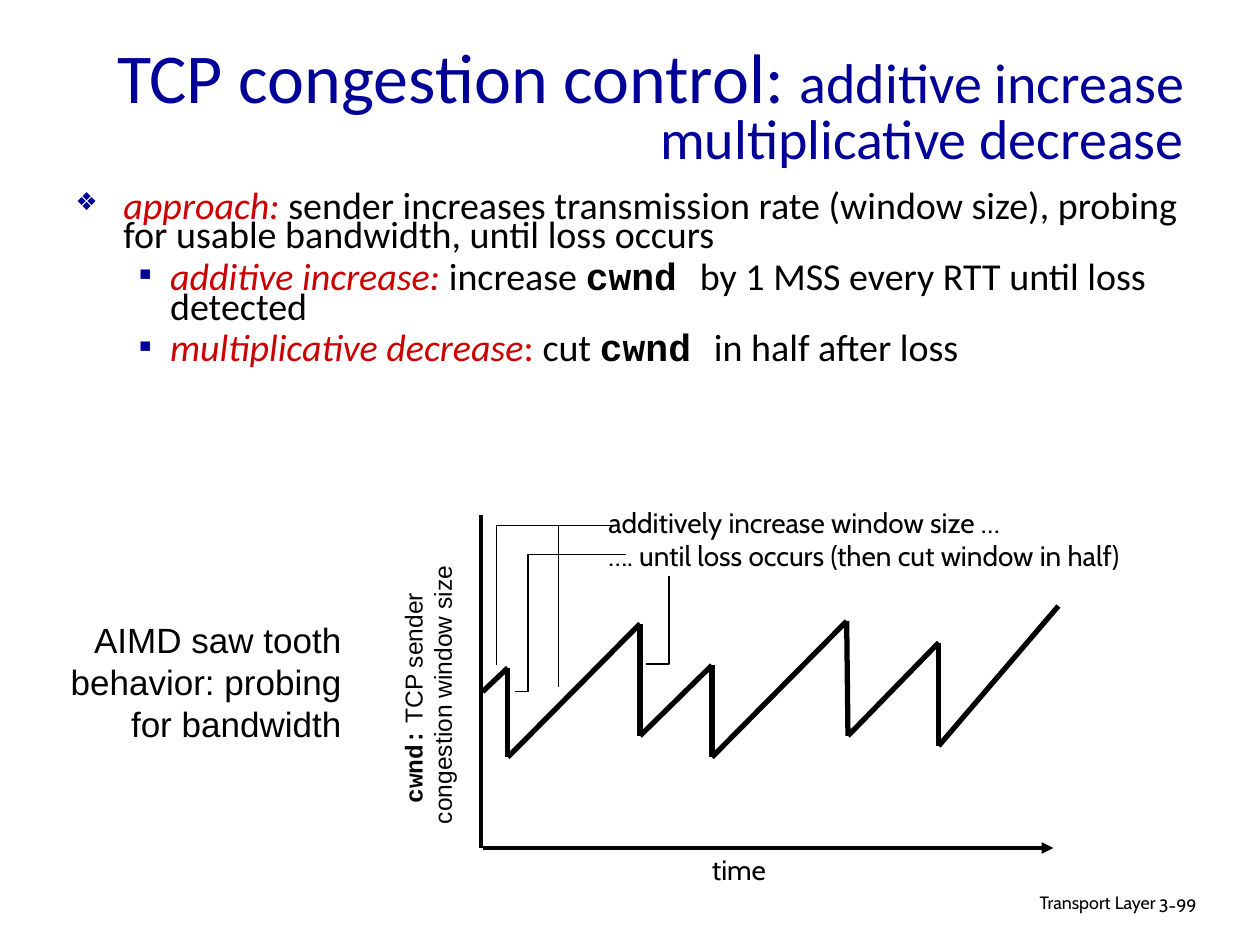
from lxml import etree
from pptx import Presentation
from pptx.dml.color import RGBColor
from pptx.enum.shapes import MSO_CONNECTOR, MSO_SHAPE
from pptx.enum.text import MSO_ANCHOR, MSO_AUTO_SIZE, PP_ALIGN
from pptx.oxml.ns import qn
from pptx.util import Inches, Pt

COLORS = {"text": "000000", "title": "000099", "accent": "CC0000", "back": "FFFFFF"}
BODY, MONO, LABEL, PLAIN = "Calibri", "Courier New", "Cabin", "Arial"


class SlideBuilder:
    """Holds the style and the current slide, with a method per kind of element."""

    def __init__(self, prs):
        self.slide = prs.slides.add_slide(prs.slide_layouts[1])
        self.shapes = self.slide.shapes

    def color(self, name):
        return RGBColor.from_string(COLORS[name])

    def place(self, sp, left, top, width, height):
        sp.left, sp.top = Inches(left), Inches(top)
        sp.width, sp.height = Inches(width), Inches(height)

    def run(self, p, text, size, font, color="text", bold=False, italic=False):
        r = p.add_run()
        r.text = text
        r.font.size, r.font.name = Pt(size), font
        r.font.bold, r.font.italic = bold, italic
        r.font.color.rgb = self.color(color)

    def fill_frame(self, tf, paragraphs, align, spacing=None):
        for i, runs in enumerate(paragraphs):
            p = tf.add_paragraph() if i else tf.paragraphs[0]
            p.alignment = align
            if spacing:
                p.line_spacing = spacing
            for run in runs:
                self.run(p, *run)

    def title(self, box, runs):
        sp = self.shapes.title
        self.place(sp, *box)
        tf = sp.text_frame
        tf.auto_size = MSO_AUTO_SIZE.NONE
        tf.vertical_anchor = MSO_ANCHOR.MIDDLE
        self.fill_frame(tf, [runs], PP_ALIGN.RIGHT, 0.8)

    def bullet(self, p, level):
        char, size, left, hang = (("❖", 65, 0.38, 0.38), ("▪", 100, 0.75, 0.25))[level]
        p.level = level
        pPr = p._p.get_or_add_pPr()
        pPr.set("marL", str(Inches(left)))
        pPr.set("indent", str(-Inches(hang)))
        clr = etree.SubElement(pPr, qn("a:buClr"))
        etree.SubElement(clr, qn("a:srgbClr"), val=COLORS["title"])
        etree.SubElement(pPr, qn("a:buSzPct"), val=str(size * 1000))
        etree.SubElement(pPr, qn("a:buFont"), typeface=PLAIN)
        etree.SubElement(pPr, qn("a:buChar"), char=char)

    def body(self, box, items):
        sp = self.slide.placeholders[1]
        self.place(sp, *box)
        tf = sp.text_frame
        tf.auto_size = MSO_AUTO_SIZE.NONE
        self.fill_frame(tf, [runs for _, runs in items], PP_ALIGN.LEFT, 0.65)
        for i, (p, (level, _)) in enumerate(zip(tf.paragraphs, items)):
            p.space_before = Pt(7 if i else 0)
            self.bullet(p, level)

    def text(self, box, paragraphs, align=PP_ALIGN.LEFT, wrap=False, spacing=None):
        sp = self.shapes.add_textbox(*map(Inches, box))
        sp.text_frame.word_wrap = wrap
        self.fill_frame(sp.text_frame, paragraphs, align, spacing)

    def axis_label(self, box, paragraphs):
        sp = self.shapes.add_shape(MSO_SHAPE.RECTANGLE, *map(Inches, box))
        sp.shadow.inherit = False
        sp.fill.solid()
        sp.fill.fore_color.rgb = self.color("back")
        sp.line.fill.background()
        sp.rotation = 270
        tf = sp.text_frame
        tf.word_wrap = False
        tf.vertical_anchor = MSO_ANCHOR.TOP
        self.fill_frame(tf, paragraphs, PP_ALIGN.CENTER)

    def line(self, start, end, width, arrow=False):
        cx = self.shapes.add_connector(MSO_CONNECTOR.STRAIGHT, *map(Inches, start + end))
        cx.line.width = Pt(width)
        cx.line.color.rgb = self.color("text")
        if arrow:
            etree.SubElement(cx.line._get_or_add_ln(), qn("a:tailEnd"), type="triangle")
        etree.SubElement(cx._element.spPr, qn("a:effectLst"))

    def callout(self, points):
        points = [(Inches(x), Inches(y)) for x, y in points]
        fb = self.shapes.build_freeform(*points[0])
        fb.add_line_segments(points[1:], close=False)
        sp = fb.convert_to_shape()
        sp.shadow.inherit = False
        sp.fill.background()
        sp.line.width = Pt(0.75)
        sp.line.color.rgb = self.color("text")


def main():
    prs = Presentation()
    prs.slide_width, prs.slide_height = Inches(10), Inches(7.5)
    s = SlideBuilder(prs)

    s.text((6.1, 7.05, 3.17, 0.31), [[("Transport Layer", 10.2, LABEL)]],
           PP_ALIGN.RIGHT, wrap=True, spacing=0.9)
    s.text((9.1, 7.07, 0.74, 0.3), [[("3-99", 10.2, LABEL)]], wrap=True, spacing=0.9)
    s.title((0.25, 0.25, 9.25, 1.25), [
        ("TCP congestion control: ", 40, BODY, "title"),
        ("additive increase multiplicative decrease", 32, BODY, "title"),
    ])

    size = 21.7
    cwnd = ("cwnd ", size, MONO, "text", True)
    s.body((0.5, 1.5, 9.16, 1.58), [
        (0, [("approach: ", size, BODY, "accent", False, True),
             ("sender increases transmission rate (window size), probing "
              "for usable bandwidth, until loss occurs", size, BODY)]),
        (1, [("additive increase:", size, BODY, "accent", False, True),
             (" increase ", size, BODY), cwnd,
             ("by 1 MSS every RTT until loss detected", size, BODY)]),
        (1, [("multiplicative decrease", size, BODY, "accent", False, True),
             (":", size, BODY, "accent"), (" cut ", size, BODY), cwnd,
             ("in half after loss", size, BODY)]),
    ])

    s.axis_label((2.27, 5.23, 2.25, 0.57), [
        [("cwnd:", 14, MONO, "text", True), (" TCP sender ", 14, PLAIN)],
        [("congestion window size", 14, PLAIN)],
    ])
    caption = ("AIMD saw tooth", "behavior: probing", "for bandwidth")
    s.text((0.46, 4.86, 2.35, 1.1), [[(t, 20, PLAIN)] for t in caption], PP_ALIGN.RIGHT)

    s.line((3.83, 6.73), (8.36, 6.73), 2.25, arrow=True)
    s.line((3.82, 4.09), (3.82, 6.73), 2.25)
    sawtooth = [(3.83, 5.49), (4.03, 5.3), (4.03, 6.01), (5.08, 4.95),
                (5.08, 5.84), (5.65, 5.28), (5.65, 6.01), (6.72, 4.93),
                (6.73, 5.84), (7.45, 5.1), (7.45, 5.92), (8.4, 4.81)]
    for start, end in zip(sawtooth, sawtooth[1:]):
        s.line(start, end, 3)

    notes = ("additively increase window size …",
             "…. until loss occurs (then cut window in half)")
    s.text((4.73, 3.96, 4.78, 0.64), [[(t, 16, LABEL)] for t in notes])
    for points in (
        [(4.88, 4.17), (3.94, 4.17), (3.94, 5.28)],
        [(4.97, 4.4), (4.19, 4.4), (4.19, 5.49), (4.09, 5.49)],
        [(4.88, 4.17), (4.43, 4.17), (4.43, 5.45)],
        [(5.31, 4.57), (5.31, 5.27), (5.13, 5.27)],
    ):
        s.callout(points)
    s.text((5.53, 6.72, 0.67, 0.37), [[("time", 16, LABEL)]], PP_ALIGN.CENTER)

    prs.save("out.pptx")


if __name__ == "__main__":
    main()
